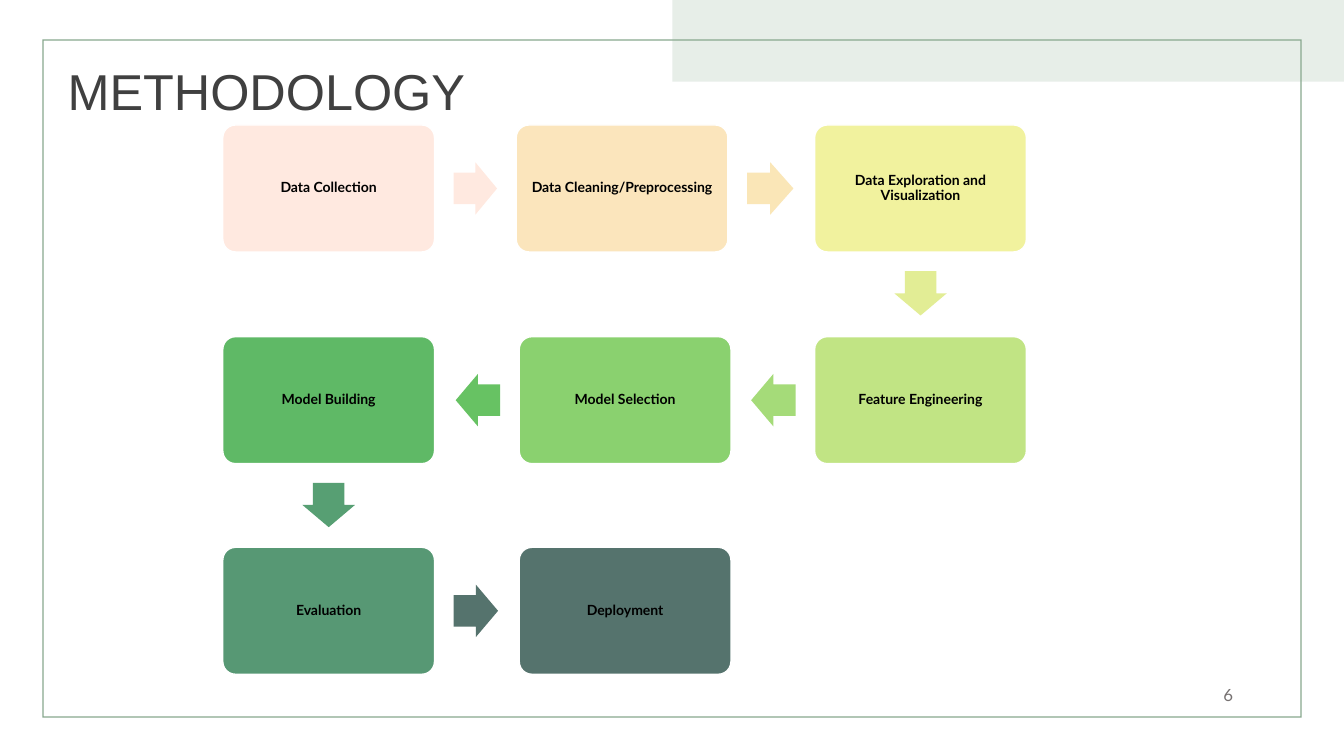
from dataclasses import dataclass
from itertools import pairwise

from pptx import Presentation
from pptx.dml.color import RGBColor
from pptx.enum.shapes import MSO_SHAPE as Preset
from pptx.enum.text import MSO_ANCHOR as Anchor, PP_ALIGN as Align
from pptx.shapes.autoshape import Shape
from pptx.slide import Slide
from pptx.text.text import TextFrame
from pptx.util import Inches, Pt

COLUMNS = (2.21, 5.15, 8.08)
ROWS = (1.24, 3.34, 5.43)
CARD_WIDTH, CARD_HEIGHT = 2.1, 1.26
ARROW_GAP, ARROW_BREADTH = 0.19, 0.52


@dataclass(frozen=True)
class Step:
    label: str
    column: int
    row: int
    color: str
    arrow_color: str = ""
    arrow_length: float = 0.44
    shift: float = 0

    @property
    def left(self) -> float:
        return COLUMNS[self.column] + self.shift

    @property
    def top(self) -> float:
        return ROWS[self.row]


STEPS = (
    Step("Data Collection", 0, 0, "FFE9E0", "FFE9E0", 0.43),
    Step("Data Cleaning/Preprocessing", 1, 0, "FBE5BC", "FAE6B7", 0.46, -0.03),
    Step("Data Exploration and Visualization", 2, 0, "F1F29E", "E2ED95"),
    Step("Feature Engineering", 2, 1, "C1E484", "A5DB79"),
    Step("Model Selection", 1, 1, "8AD16F", "67C263"),
    Step("Model Building", 0, 1, "5FB966", "579F73"),
    Step("Evaluation", 0, 2, "579874", "55736D"),
    Step("Deployment", 1, 2, "55736D"),
)


def rgb(color: str) -> RGBColor:
    return RGBColor.from_string(color)


def write_text(frame: TextFrame, text: str, *, size: float, color: str,
               font: str = "Lato", bold: bool = False,
               align: Align = Align.LEFT, line_spacing: float = 1,
               margin: float | None = None) -> None:
    frame.word_wrap = True
    frame.vertical_anchor = Anchor.MIDDLE
    if margin is not None:
        frame.margin_left = frame.margin_right = Inches(margin)
        frame.margin_top = frame.margin_bottom = Inches(margin)
    paragraph = frame.paragraphs[0]
    paragraph.alignment = align
    paragraph.line_spacing = line_spacing
    run = paragraph.add_run()
    run.text = text
    run.font.name = font
    run.font.size = Pt(size)
    run.font.bold = bold
    run.font.color.rgb = rgb(color)


def add_filled(slide: Slide, preset: Preset, left: float, top: float,
               width: float, height: float, color: str,
               adjustments: tuple[float, ...] = (), outline: str = "") -> Shape:
    shape = slide.shapes.add_shape(preset, Inches(left), Inches(top),
                                   Inches(width), Inches(height))
    shape.shadow.inherit = False
    shape.fill.solid()
    shape.fill.fore_color.rgb = rgb(color)
    for index, value in enumerate(adjustments):
        shape.adjustments[index] = value
    if outline:
        shape.line.color.rgb = rgb(outline)
        shape.line.width = Pt(1)
    else:
        shape.line.fill.background()
    return shape


def add_card(slide: Slide, step: Step) -> None:
    card = add_filled(slide, Preset.ROUNDED_RECTANGLE, step.left, step.top,
                      CARD_WIDTH, CARD_HEIGHT, step.color, (0.1,), "FFFFFF")
    write_text(card.text_frame, step.label, size=10, color="000000", bold=True,
               align=Align.CENTER, line_spacing=0.9, margin=0.04)


def add_arrow(slide: Slide, step: Step, following: Step) -> None:
    """Point from one card to the next, starting just off the first card."""
    across = following.column - step.column
    down = following.row - step.row
    reach = ARROW_GAP + step.arrow_length / 2
    center_x = step.left + CARD_WIDTH / 2 + across * (CARD_WIDTH / 2 + reach)
    center_y = step.top + CARD_HEIGHT / 2 + down * (CARD_HEIGHT / 2 + reach)
    arrow = add_filled(slide, Preset.RIGHT_ARROW,
                       center_x - step.arrow_length / 2,
                       center_y - ARROW_BREADTH / 2,
                       step.arrow_length, ARROW_BREADTH,
                       step.arrow_color, (0.6, 0.5))
    arrow.rotation = 90 if down else 0 if across > 0 else 180


def main() -> None:
    presentation = Presentation()
    presentation.slide_width = Inches(13.33)
    presentation.slide_height = Inches(7.5)
    slide = presentation.slides.add_slide(presentation.slide_layouts[5])

    # Corner band and thin page frame
    add_filled(slide, Preset.RECTANGLE, 6.67, 0, 6.67, 0.81, "E7EEE8")
    add_filled(slide, Preset.FRAME, 0.42, 0.39, 12.49, 6.73, "88A88E", (0.002,))

    # Title
    title = slide.shapes.title
    title.left, title.top = Inches(0.57), Inches(0.1)
    title.width, title.height = Inches(11.5), Inches(1.67)
    write_text(title.text_frame, "METHODOLOGY", size=36, color="404040",
               font="Arial", line_spacing=0.9)

    # Page number
    page_number = slide.shapes.add_textbox(Inches(9.33), Inches(6.69),
                                           Inches(3), Inches(0.4))
    write_text(page_number.text_frame, "6", size=12, color="767171",
               align=Align.RIGHT)

    # Process flow
    for step in STEPS:
        add_card(slide, step)
    for step, following in pairwise(STEPS):
        add_arrow(slide, step, following)

    presentation.save("out.pptx")


if __name__ == "__main__":
    main()
